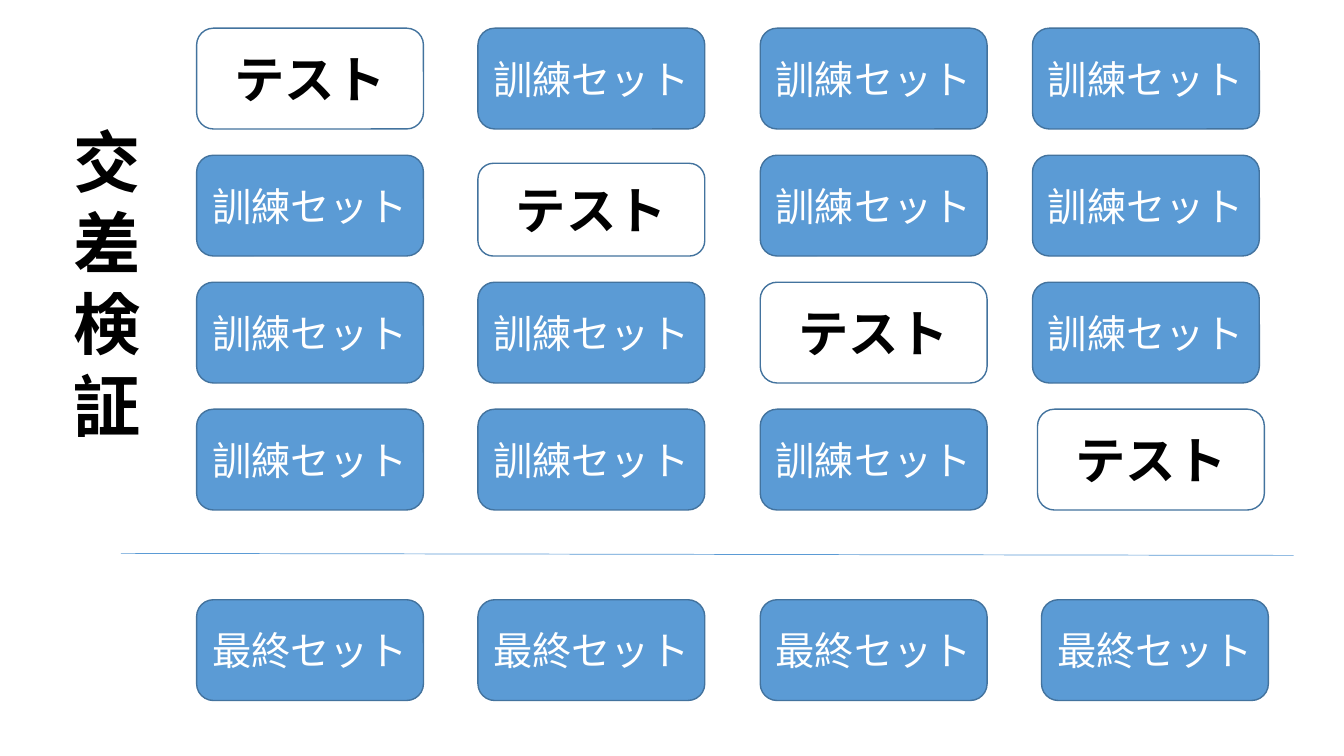
"""Build the cross-validation slide: four folds above a row of final sets."""
from dataclasses import dataclass

from lxml import etree
from pptx import Presentation
from pptx.dml.color import RGBColor
from pptx.enum.shapes import MSO_CONNECTOR, MSO_SHAPE
from pptx.enum.text import MSO_ANCHOR, PP_ALIGN
from pptx.oxml.ns import qn
from pptx.util import Inches, Pt

ROUNDED = MSO_SHAPE.ROUNDED_RECTANGLE
STRAIGHT = MSO_CONNECTOR.STRAIGHT
CENTER = PP_ALIGN.CENTER
MIDDLE, TOP = MSO_ANCHOR.MIDDLE, MSO_ANCHOR.TOP


@dataclass(frozen=True)
class Theme:
    font: str = "Noto Sans CJK JP"
    blue: RGBColor = RGBColor(0x5B, 0x9B, 0xD5)
    outline: RGBColor = RGBColor(0x43, 0x73, 0x9E)
    black: RGBColor = RGBColor(0, 0, 0)
    white: RGBColor = RGBColor(255, 255, 255)
    set_size: int = 28
    test_size: int = 36
    heading_size: int = 48
    heading_pitch: int = 58


THEME = Theme()
HEADING = "交差検証"
TEST, TRAINING, FINAL = "テスト", "訓練セット", "最終セット"
FOLDS = 4
SETS = [[TEST if fold == part else TRAINING for part in range(FOLDS)]
        for fold in range(FOLDS)] + [[FINAL] * FOLDS]

SET_WIDTH, SET_HEIGHT = 2.25, 1
FOLD_TOP, FOLD_PITCH, FINAL_TOP = 0.28, 1.26, 5.95
PART_LEFTS = [1.95, 4.74, 7.54, 10.24]
NUDGES = {(1, 1): (0, 0.08), (3, 3): (0.05, 0), (4, 3): (0.09, 0)}
HEADING_BOX = (0.63, 1.14, 0.81, 3.33)
DIVIDER = (1.2, 5.49, 12.83, 5.51)


def write(frame, text, *, size, color, bold=False, anchor=MIDDLE, pitch=None):
    frame.word_wrap = True
    frame.vertical_anchor = anchor
    paragraph = frame.paragraphs[0]
    paragraph.alignment = CENTER
    if pitch:
        paragraph.line_spacing = Pt(pitch)
    run = paragraph.add_run()
    run.text = text
    run.font.name = THEME.font
    run.font.size = Pt(size)
    run.font.bold = bold
    run.font.color.rgb = color
    east_asian = etree.SubElement(run.font._element, qn("a:ea"))
    east_asian.set("typeface", THEME.font)


def add_set(slide, label, left, top, height):
    box = slide.shapes.add_shape(
        ROUNDED, *map(Inches, (left, top, SET_WIDTH, height)))
    box.shadow.inherit = False
    box.line.color.rgb = THEME.outline
    box.line.width = Pt(1)
    box.text_frame.margin_left = box.text_frame.margin_right = 0
    if label == TEST:
        box.fill.background()
        write(box.text_frame, label, size=THEME.test_size,
              color=THEME.black, bold=True)
    else:
        box.fill.solid()
        box.fill.fore_color.rgb = THEME.blue
        write(box.text_frame, label, size=THEME.set_size, color=THEME.white)


def add_divider(slide):
    divider = slide.shapes.add_connector(STRAIGHT, *map(Inches, DIVIDER))
    divider.line.color.rgb = THEME.blue
    divider.line.width = Pt(0.5)
    etree.SubElement(divider._element.spPr, qn("a:effectLst"))


def main():
    deck = Presentation()
    deck.slide_width, deck.slide_height = Inches(13.33), Inches(7.5)
    slide = deck.slides.add_slide(deck.slide_layouts[6])

    for row, labels in enumerate(SETS):
        top = FOLD_TOP + row * FOLD_PITCH if row < FOLDS else FINAL_TOP
        for part, label in enumerate(labels):
            right, down = NUDGES.get((row, part), (0, 0))
            add_set(slide, label, PART_LEFTS[part] + right, top + down,
                    SET_HEIGHT - down)

    add_divider(slide)
    heading = slide.shapes.add_textbox(*map(Inches, HEADING_BOX))
    write(heading.text_frame, HEADING, size=THEME.heading_size,
          color=THEME.black, bold=True, anchor=TOP, pitch=THEME.heading_pitch)
    deck.save("out.pptx")


main()
